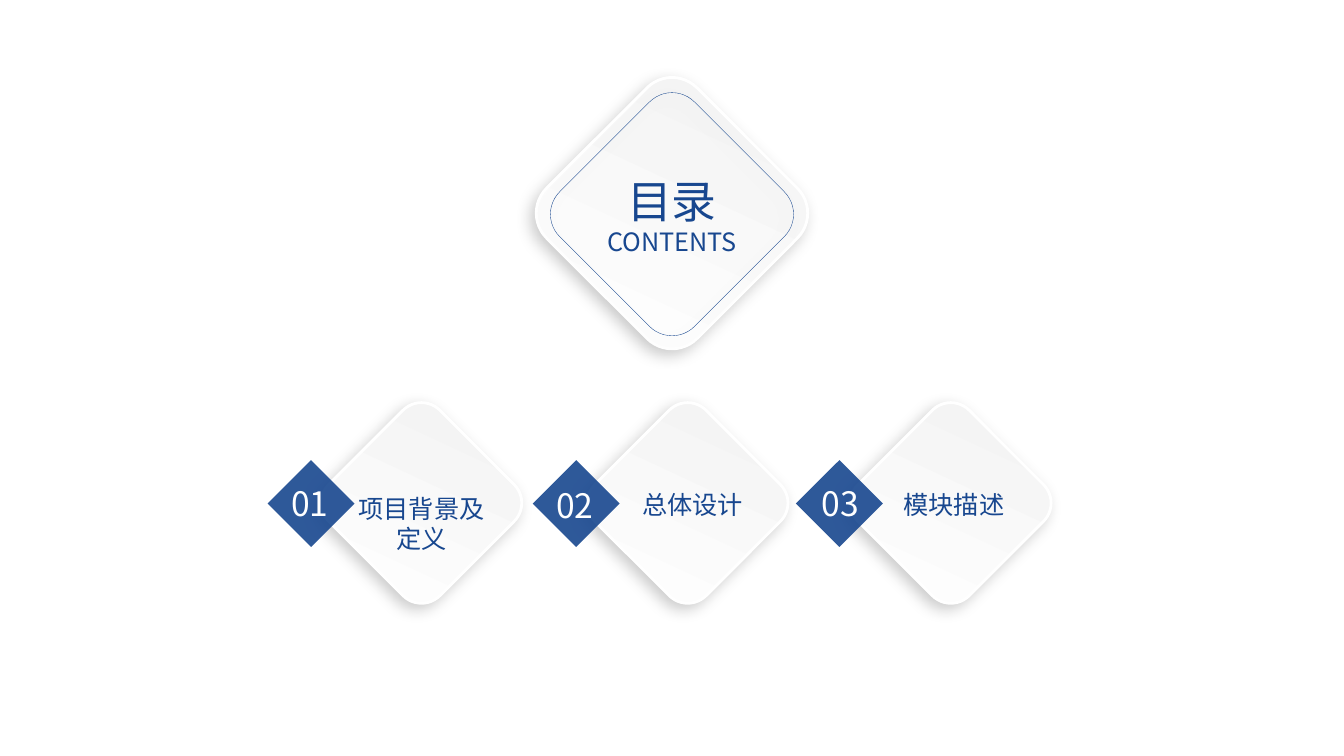
"""Build a contents slide with a diamond heading and three numbered diamond tiles."""
import dataclasses

import lxml.etree
import pptx
import pptx.dml.color
import pptx.enum.shapes
import pptx.enum.text
import pptx.oxml
import pptx.oxml.ns
import pptx.shapes.autoshape
import pptx.slide
import pptx.util

PX = 9144
FONT = "Noto Sans CJK SC"
BLUE = "18478F"
WHITE = "FFFFFF"
PALE = "F2F2F2"
TILE_TOP, TILE_SIZE = 421, 156
BADGE_TOP, BADGE_SIZE = 469, 61
SHAPE = pptx.enum.shapes.MSO_SHAPE
ALIGN = pptx.enum.text.PP_ALIGN


@dataclasses.dataclass(frozen=True)
class Box:
    left: int
    top: int
    width: int
    height: int

    def emu(self) -> tuple[int, int, int, int]:
        return self.left * PX, self.top * PX, self.width * PX, self.height * PX


@dataclasses.dataclass(frozen=True)
class Section:
    number: str
    topic: str
    tile_left: int
    badge_left: int
    number_box: Box
    topic_box: Box


SECTIONS = [
    Section("01", "项目背景及定义", 340, 278, Box(279, 474, 60, 50), Box(336, 484, 164, 71)),
    Section("02", "总体设计", 604, 541, Box(542, 476, 60, 50), Box(605, 481, 164, 40)),
    Section("03", "模块描述", 865, 802, Box(805, 474, 60, 50), Box(864, 481, 164, 40)),
]


def colour(code: str) -> pptx.dml.color.RGBColor:
    return pptx.dml.color.RGBColor.from_string(code)


def add_turned(slide: pptx.slide.Slide, preset: SHAPE, box: Box,
               turn: int) -> pptx.shapes.autoshape.Shape:
    shape = slide.shapes.add_shape(preset, *box.emu())
    shape.rotation = turn
    shape.shadow.inherit = False
    return shape


def add_shadow(shape: pptx.shapes.autoshape.Shape) -> None:
    effects = shape._element.spPr.find(pptx.oxml.ns.qn("a:effectLst"))
    effects.append(pptx.oxml.parse_xml(
        f'<a:outerShdw {pptx.oxml.ns.nsdecls("a")} blurRad="139700" dist="63500" '
        'dir="8100000" algn="ctr" rotWithShape="0">'
        '<a:srgbClr val="000000"><a:alpha val="20000"/></a:srgbClr></a:outerShdw>'))


def add_tile(slide: pptx.slide.Slide, box: Box) -> None:
    tile = add_turned(slide, SHAPE.ROUNDED_RECTANGLE, box, 45)
    tile.fill.gradient()
    tile.fill.gradient_angle = 110
    for stop, code in zip(tile.fill.gradient_stops, (WHITE, PALE)):
        stop.color.rgb = colour(code)
    tile.line.color.rgb = colour(WHITE)
    tile.line.width = pptx.util.Pt(2)
    add_shadow(tile)


def add_frame(slide: pptx.slide.Slide, box: Box) -> None:
    frame = add_turned(slide, SHAPE.ROUNDED_RECTANGLE, box, 45)
    frame.fill.background()
    frame.line.color.rgb = colour(BLUE)
    frame.line.width = pptx.util.Pt(0.25)
    add_shadow(frame)


def add_badge(slide: pptx.slide.Slide, box: Box) -> None:
    badge = add_turned(slide, SHAPE.RECTANGLE, box, 225)
    badge.fill.solid()
    badge.fill.fore_color.rgb = colour(BLUE)
    badge.line.fill.background()
    tone = badge._element.spPr.find(".//" + pptx.oxml.ns.qn("a:srgbClr"))
    lxml.etree.SubElement(tone, pptx.oxml.ns.qn("a:alpha"), val="90000")


def write(holder: pptx.shapes.autoshape.Shape, words: str, size: int, code: str,
          align: ALIGN = ALIGN.CENTER, wrap: bool = True) -> None:
    frame = holder.text_frame
    frame.word_wrap = wrap
    frame.auto_size = pptx.enum.text.MSO_AUTO_SIZE.SHAPE_TO_FIT_TEXT
    frame.vertical_anchor = pptx.enum.text.MSO_ANCHOR.TOP
    paragraph = frame.paragraphs[0]
    paragraph.alignment = align
    run = paragraph.add_run()
    run.text = words
    run.font.size = pptx.util.Pt(size)
    run.font.color.rgb = colour(code)
    run.font.name = FONT
    lxml.etree.SubElement(run.font._element, pptx.oxml.ns.qn("a:ea"), typeface=FONT)


def add_heading(slide: pptx.slide.Slide) -> None:
    add_tile(slide, Box(561, 106, 211, 211))
    add_frame(slide, Box(572, 118, 189, 189))
    title = slide.shapes.title
    title.left, title.top, title.width, title.height = Box(541, 167, 251, 64).emu()
    slide.shapes._spTree.append(title._element)
    write(title, "目录", 32, BLUE)
    subtitle = slide.shapes.add_textbox(*Box(541, 220, 251, 40).emu())
    write(subtitle, "CONTENTS", 18, BLUE)


def add_section(slide: pptx.slide.Slide, section: Section) -> None:
    add_tile(slide, Box(section.tile_left, TILE_TOP, TILE_SIZE, TILE_SIZE))
    add_badge(slide, Box(section.badge_left, BADGE_TOP, BADGE_SIZE, BADGE_SIZE))
    number = slide.shapes.add_textbox(*section.number_box.emu())
    write(number, section.number, 24, WHITE, ALIGN.LEFT, wrap=False)
    topic = slide.shapes.add_textbox(*section.topic_box.emu())
    write(topic, section.topic, 18, BLUE)


def main() -> None:
    deck = pptx.Presentation()
    deck.slide_width, deck.slide_height = 1333 * PX, 750 * PX
    slide = deck.slides.add_slide(deck.slide_layouts.get_by_name("Title Only"))
    add_heading(slide)
    for section in SECTIONS:
        add_section(slide, section)
    deck.save("out.pptx")


if __name__ == "__main__":
    main()
